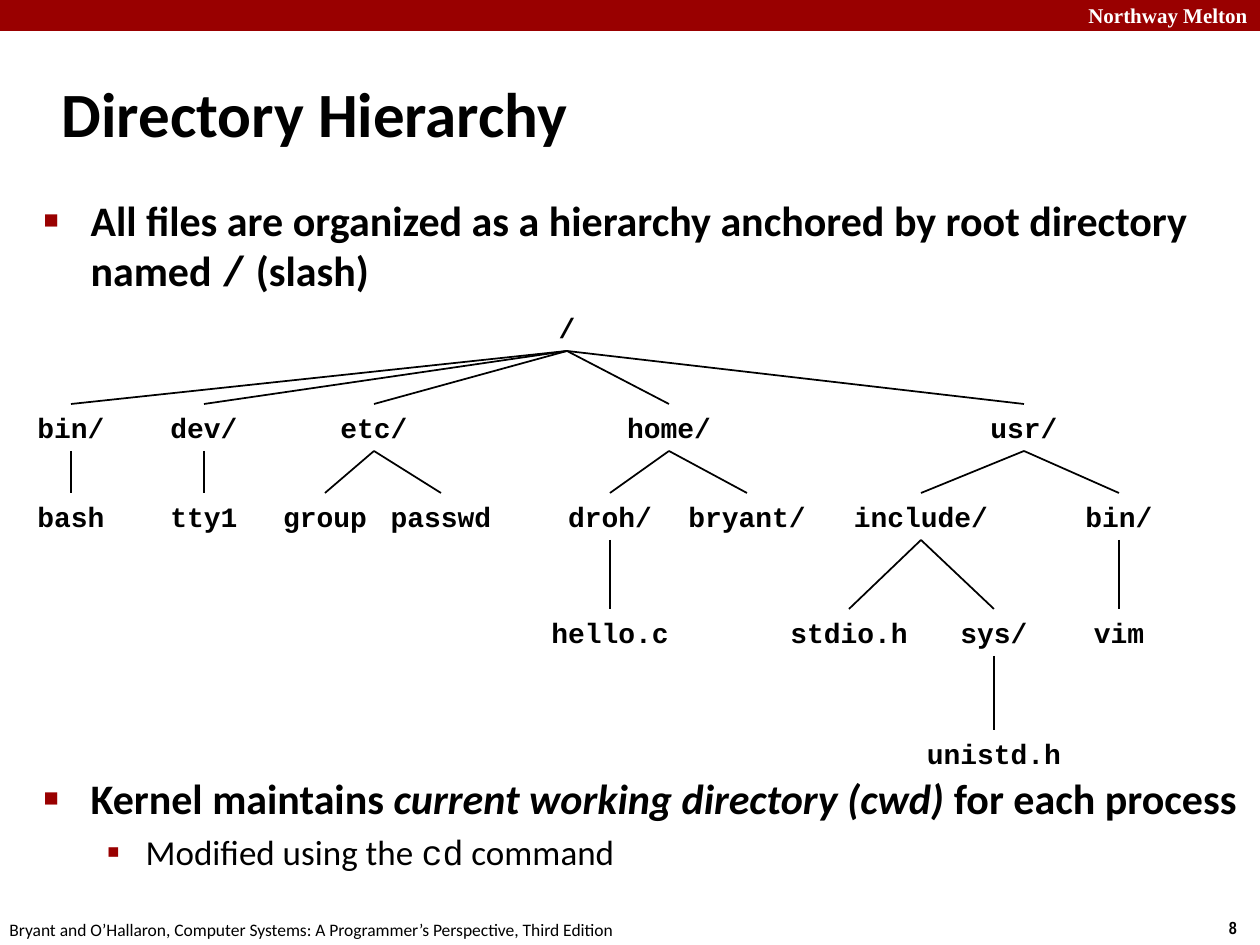
import pptx
import pptx.dml.color
import pptx.enum.shapes
import pptx.enum.text
import pptx.oxml.ns
import pptx.util
from lxml import etree

PX = 914400 / 126  # EMU in one px
COLORS = {"accent": "990000", "text": "000000", "light": "FFFFFF"}
ALIGN = pptx.enum.text.PP_ALIGN
ANCHOR = pptx.enum.text.MSO_ANCHOR

# Directory tree: name, centre x, children
TREE = ("/", 567, [
    ("bin/", 71, [("bash", 71, [])]),
    ("dev/", 204, [("tty1", 204, [])]),
    ("etc/", 374, [("group", 325, []), ("passwd", 441, [])]),
    ("home/", 669, [
        ("droh/", 610, [("hello.c", 610, [])]),
        ("bryant/", 747, []),
    ]),
    ("usr/", 1024, [
        ("include/", 921, [
            ("stdio.h", 849, []),
            ("sys/", 994, [("unistd.h", 994, [])]),
        ]),
        ("bin/", 1119, [("vim", 1119, [])]),
    ]),
])
ROW_TOPS = [0, 100, 189, 305, 426]  # below the top of the tree
LABEL_HEIGHT = 47


def emu(*lengths):
    return [pptx.util.Emu(round(length * PX)) for length in lengths]


def rgb(name):
    return pptx.dml.color.RGBColor.from_string(COLORS[name])


def set_font(font, name, size, bold=False, color="text"):
    font.name = name
    font.size = pptx.util.Pt(size)
    font.bold = bold
    font.color.rgb = rgb(color)


def add_label(page, box, text, name, size, bold=True, color="text", align=ALIGN.CENTER):
    frame = page.shapes.add_textbox(*emu(*box)).text_frame
    frame.word_wrap = False
    para = frame.paragraphs[0]
    para.text = text
    para.alignment = align
    set_font(para.font, name, size, bold, color)


def place(shape, box):
    shape.left, shape.top, shape.width, shape.height = emu(*box)


def add_bullet(para, char, percent, margin, hang):
    """Give the paragraph a coloured bullet with a hanging indent."""
    props = para._p.get_or_add_pPr()
    left, indent = emu(margin, -hang)
    props.set("marL", str(left))
    props.set("indent", str(indent))
    qn = pptx.oxml.ns.qn
    color = etree.SubElement(props, qn("a:buClr"))
    etree.SubElement(color, qn("a:srgbClr"), val=COLORS["accent"])
    etree.SubElement(props, qn("a:buSzPct"), val=str(percent * 1000))
    etree.SubElement(props, qn("a:buFont"), typeface="Arial")
    etree.SubElement(props, qn("a:buChar"), char=char)


def add_header(page, box):
    left, top, width, height = box
    band = page.shapes.add_shape(pptx.enum.shapes.MSO_SHAPE.RECTANGLE, *emu(*box))
    band.shadow.inherit = False
    band.fill.solid()
    band.fill.fore_color.rgb = rgb("accent")
    band.line.fill.background()
    add_label(page, (left + width - 260, top - 4, 260, 38), "Northway Melton",
              "Times New Roman", 12, color="light", align=ALIGN.RIGHT)


def add_footer(page, box):
    left, top, width, height = box
    add_label(page, (left - 3, top + 2, 660, height),
              "Bryant and O’Hallaron, Computer Systems: A Programmer’s Perspective, Third Edition",
              "Calibri", 10, bold=False, align=ALIGN.LEFT)
    add_label(page, (left + width - 47, top, 40, height), "8", "Arial Narrow", 10)


def add_title(page, box):
    title = page.shapes.title
    place(title, box)
    frame = title.text_frame
    frame.auto_size = pptx.enum.text.MSO_AUTO_SIZE.NONE
    frame.vertical_anchor = ANCHOR.MIDDLE
    para = frame.paragraphs[0]
    para.text = "Directory Hierarchy"
    para.alignment = ALIGN.LEFT
    set_font(para.font, "Calibri", 36, bold=True)


def add_body(page, box):
    body = page.placeholders[1]
    place(body, box)
    frame = body.text_frame
    frame.auto_size = pptx.enum.text.MSO_AUTO_SIZE.NONE
    frame.vertical_anchor = ANCHOR.TOP
    # Level, space before in points, runs as (text, style)
    items = [
        (0, 0, [("All files are organized as a hierarchy anchored by root directory named ", ""),
                ("/", "code"), (" (slash)", "")]),
        (0, 273, [("Kernel maintains ", ""), ("current working directory (cwd) ", "italic"),
                  ("for each process", "")]),
        (1, 4, [("Modified using the ", ""), ("cd", "code"), (" command", "")]),
    ]
    # Bullet, its percent, text margin, hang, text size, bold
    levels = [("■", 60, 47, 47, 24, True), ("▪", 110, 102, 39, 20, False)]
    for number, (level, space, spans) in enumerate(items):
        para = frame.add_paragraph() if number else frame.paragraphs[0]
        char, percent, margin, hang, size, bold = levels[level]
        para.level = level
        para.space_before = pptx.util.Pt(space)
        add_bullet(para, char, percent, margin, hang)
        set_font(para.font, "Calibri", size, bold)
        for text, style in spans:
            span = para.add_run()
            span.text = text
            if style == "code":
                span.font.name = "Courier New"
            elif style == "italic":
                span.font.italic = True


def add_branch(page, start, end):
    line = page.shapes.add_connector(pptx.enum.shapes.MSO_CONNECTOR.STRAIGHT, *emu(*start, *end))
    line.line.color.rgb = rgb("text")
    line.line.width = pptx.util.Pt(1)
    etree.SubElement(line._element.spPr, pptx.oxml.ns.qn("a:effectLst"))


def add_tree(page, left, top, node, depth=0):
    """Draw a node, the lines to its children, and the children."""
    name, center, children = node
    x = left + center
    y = top + ROW_TOPS[depth]
    width = 30 + 17 * len(name)  # insets plus fixed-width letters
    add_label(page, (x - width / 2, y, width, LABEL_HEIGHT), name, "Courier New", 16)
    for child in children:
        add_branch(page, (x, y + LABEL_HEIGHT), (left + child[1], top + ROW_TOPS[depth + 1]))
        add_tree(page, left, top, child, depth + 1)


def main():
    deck = pptx.Presentation()
    deck.slide_width, deck.slide_height = emu(1260, 945)
    page = deck.slides.add_slide(deck.slide_layouts[1])
    add_header(page, (0, 0, 1260, 31))
    add_footer(page, (0, 911, 1260, 34))
    add_title(page, (49, 60, 1046, 105))
    add_body(page, (31, 188, 1226, 726))
    add_tree(page, 0, 304, TREE)
    deck.save("out.pptx")


if __name__ == "__main__":
    main()
